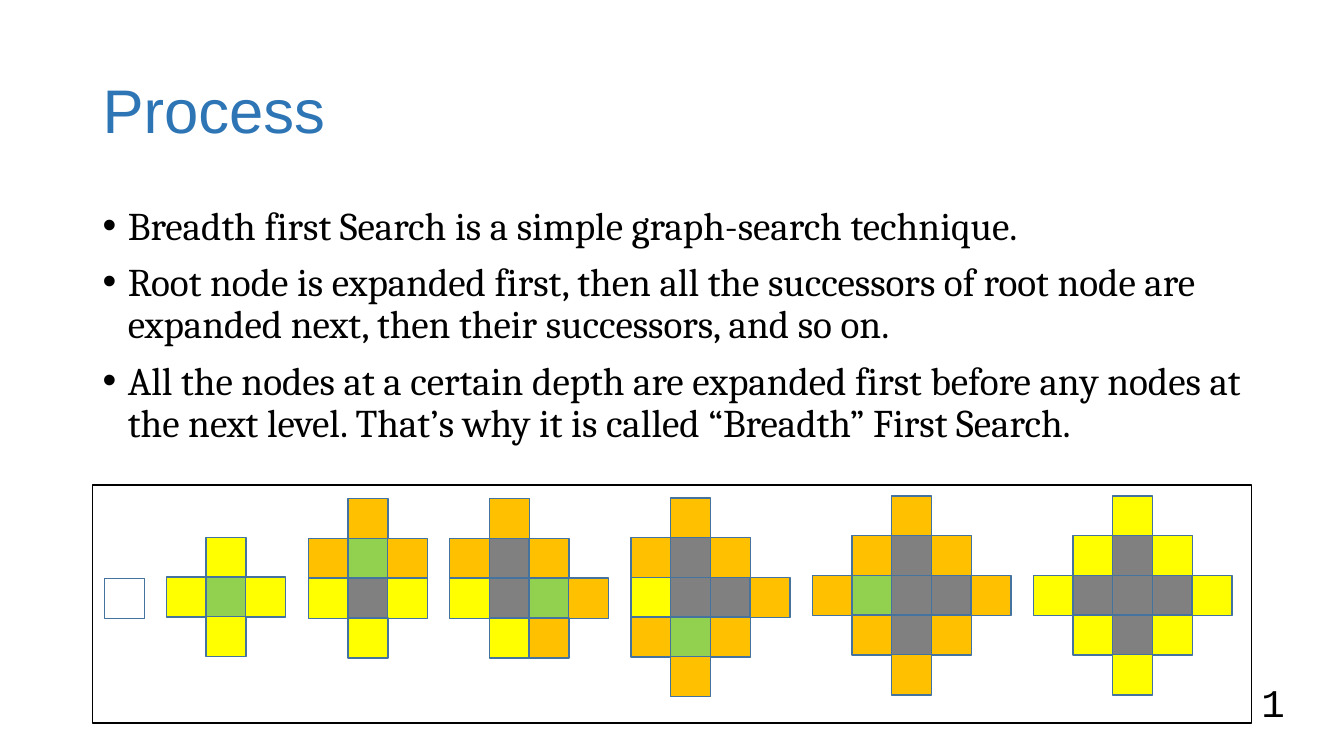
"""Build the slide that explains the process of breadth first search."""
from pptx import Presentation
from pptx.dml.color import RGBColor
from pptx.enum.shapes import MSO_SHAPE
from pptx.enum.text import MSO_ANCHOR, MSO_AUTO_SIZE, PP_ALIGN
from pptx.util import Cm, Pt


def add_run(paragraph, text, size, font, color):
    run = paragraph.add_run()
    run.text = text
    run.font.size = Pt(size)
    run.font.name = font
    run.font.color.rgb = RGBColor.from_string(color)


def add_box(shapes, left, top, width, height, line, fill=None):
    box = shapes.add_shape(MSO_SHAPE.RECTANGLE, Cm(left), Cm(top), Cm(width), Cm(height))
    box.shadow.inherit = False
    box.line.color.rgb = RGBColor.from_string(line)
    box.line.width = Pt(1)
    if fill:
        box.fill.solid()
        box.fill.fore_color.rgb = RGBColor.from_string(fill)
    else:
        box.fill.background()


BLACK, CELL_LINE = "000000", "43739E"
FILLS = {"Y": "FFFF00", "G": "92D050", "D": "808080", "O": "FFC000", "W": None}
PITCH, CELL = 1, 1.01

POINTS = [
    "Breadth first Search is a simple graph-search technique.",
    "Root node is expanded first, then all the successors of root node are "
    "expanded next, then their successors, and so on.",
    "All the nodes at a certain depth are expanded first before any nodes at "
    "the next level. That’s why it is called “Breadth” First Search.",
]

STAGES = [
    (2.64, 14.58, ["W"]),
    (4.19, 13.54, [" Y ", "YGY", " Y "]),
    (7.77, 12.57, [" O ", "OGO", "YDY", " Y "]),
    (11.33, 12.57, [" O  ", "ODO ", "YDGO", " YO "]),
    (15.9, 12.55, [" O  ", "ODO ", "YDDO", "OGO ", " O  "]),
    (20.47, 12.5, ["  O  ", " ODO ", "OGDDO", " ODO ", "  O  "]),
    (26.04, 12.5, ["  Y  ", " YDY ", "YDDDY", " YDY ", "  Y  "]),
]

prs = Presentation()
prs.slide_width, prs.slide_height = Cm(33.87), Cm(19.05)
slide = prs.slides.add_slide(prs.slide_layouts[1])

title = slide.shapes.title
title.left, title.top, title.width, title.height = Cm(2.33), Cm(1.01), Cm(29.21), Cm(3.68)
title.text_frame.vertical_anchor = MSO_ANCHOR.MIDDLE
title.text_frame.auto_size = MSO_AUTO_SIZE.NONE
heading = title.text_frame.paragraphs[0]
heading.alignment = PP_ALIGN.LEFT
heading.line_spacing = 0.9
add_run(heading, "Process", 44, "Arial", "2E75B6")

body = slide.placeholders[1]
body.left, body.top, body.width, body.height = Cm(2.33), Cm(5.07), Cm(29.21), Cm(12.09)
body.text_frame.auto_size = MSO_AUTO_SIZE.NONE
for index, text in enumerate(POINTS):
    point = body.text_frame.add_paragraph() if index else body.text_frame.paragraphs[0]
    point.line_spacing = 0.9
    point.space_before = Pt(10)
    indents = point._p.get_or_add_pPr()
    indents.set("marL", str(Cm(0.64)))
    indents.set("indent", str(-Cm(0.64)))
    add_run(point, text, 28, "Cambria", BLACK)

page_number = slide.shapes.add_textbox(Cm(31.54), Cm(16.97), Cm(1.37), Cm(1.45))
page_number.text_frame.word_wrap = True
add_run(page_number.text_frame.paragraphs[0], "1", 28, "Courier New", BLACK)

add_box(slide.shapes, 2.33, 12.22, 29.21, 6, BLACK)

for left, top, rows in STAGES:
    stage = slide.shapes.add_group_shape() if len(rows) > 1 else slide
    for row, states in enumerate(rows):
        for column, state in enumerate(states):
            if state in FILLS:
                add_box(stage.shapes, left + column * PITCH, top + row * PITCH,
                        CELL, CELL, CELL_LINE, FILLS[state])

prs.save("out.pptx")
